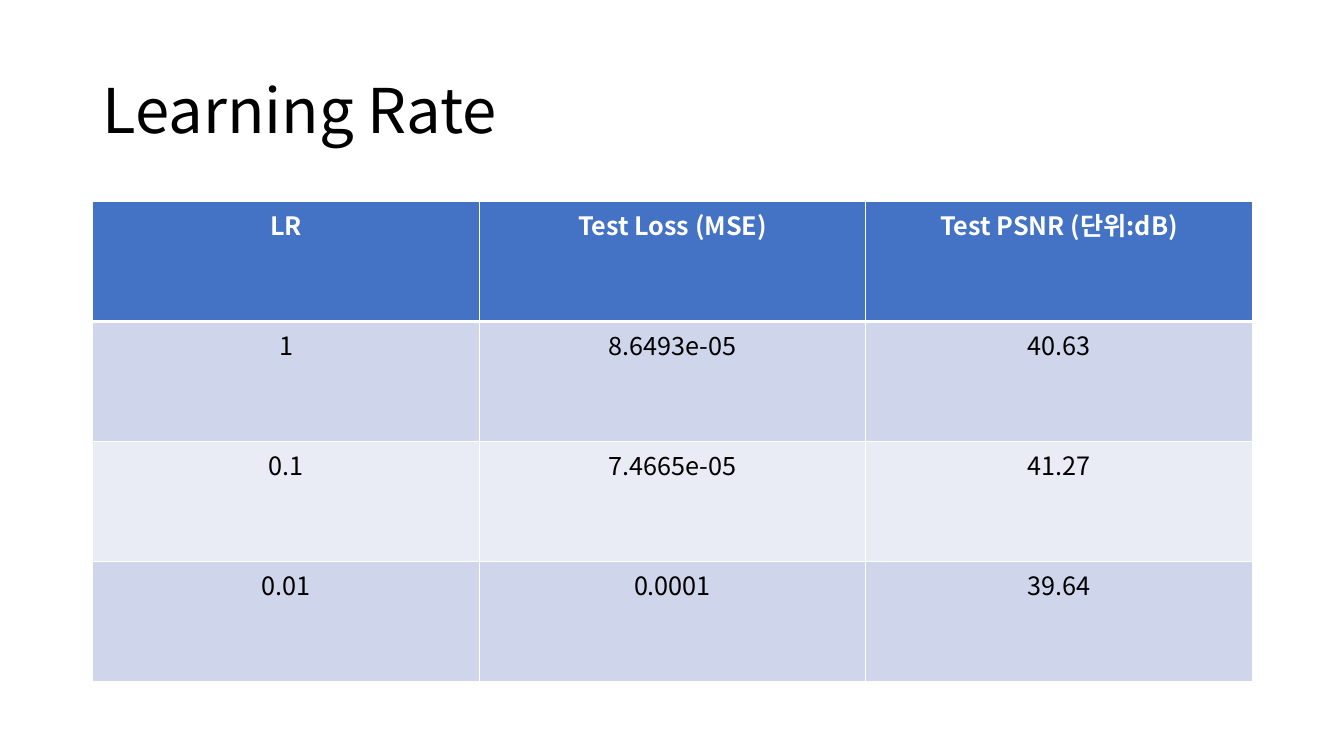
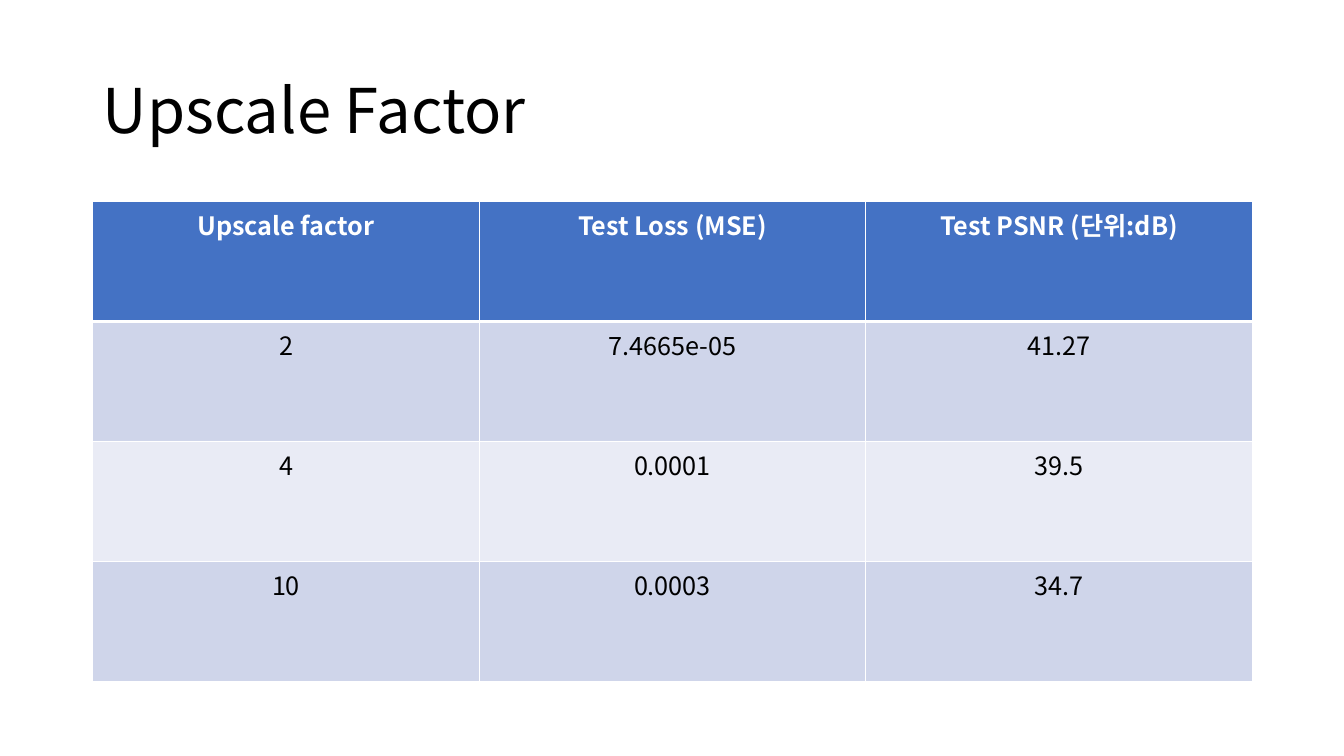
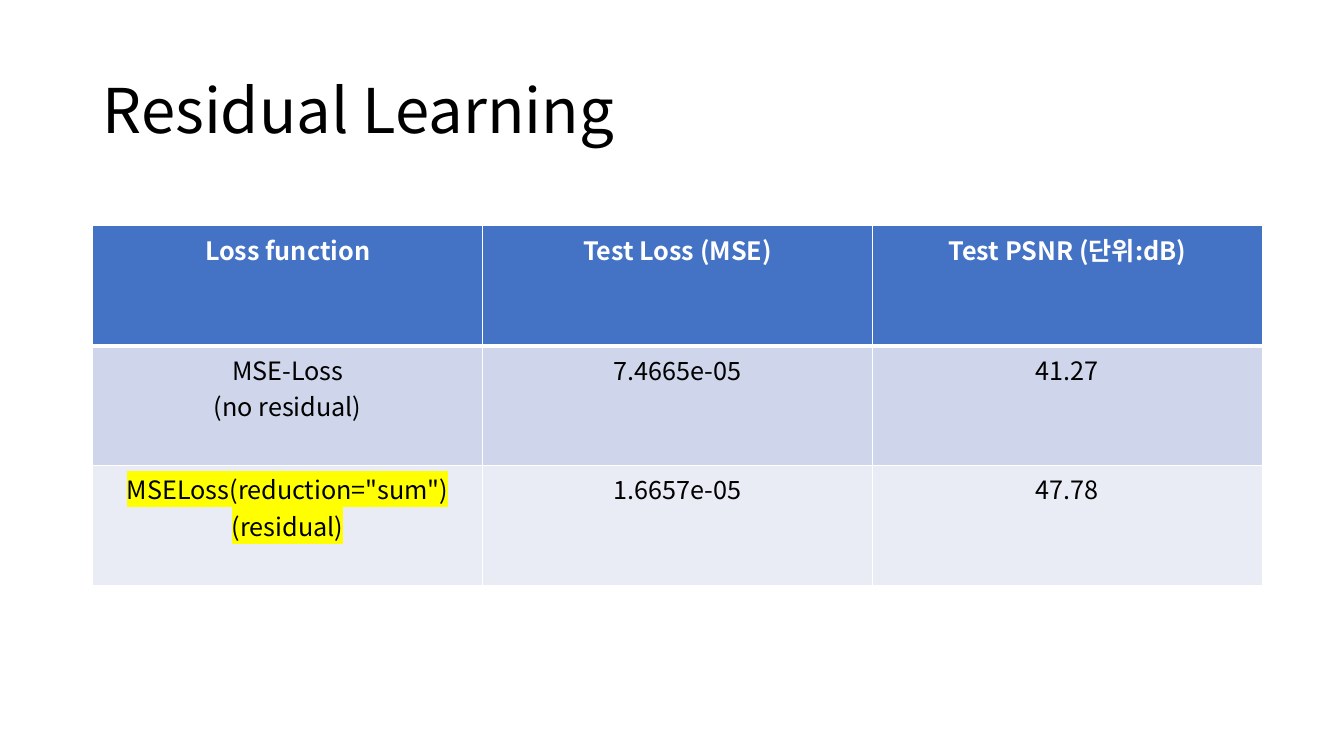
from lxml.etree import SubElement
from pptx import Presentation
from pptx.dml.color import RGBColor
from pptx.enum.text import MSO_ANCHOR, PP_ALIGN
from pptx.oxml.ns import qn
from pptx.util import Inches, Pt

FONT = "Noto Sans CJK KR"
COLORS = {
    "header": "4472C4",
    "odd_row": "CFD5EA",
    "even_row": "E9EBF5",
    "border": "FFFFFF",
    "header_text": "FFFFFF",
    "text": "000000",
    "highlight": "FFFF00",
}
METRICS = ["Test Loss (MSE)", "Test PSNR (단위:dB)"]

# Title, table top and width in inches, highlighted label, table rows
RESULTS = [
    ("Learning Rate", 2, 11.5, None, [
        ["LR", *METRICS],
        ["1", "8.6493e-05", "40.63"],
        ["0.1", "7.4665e-05", "41.27"],
        ["0.01", "0.0001", "39.64"],
    ]),
    ("Upscale Factor", 2, 11.5, None, [
        ["Upscale factor", *METRICS],
        ["2", "7.4665e-05", "41.27"],
        ["4", "0.0001", "39.5"],
        ["10", "0.0003", "34.7"],
    ]),
    ("Residual Learning", 2.24, 11.6, 'MSELoss(reduction="sum")\n(residual)', [
        ["Loss function", *METRICS],
        ["MSE-Loss\n(no residual)", "7.4665e-05", "41.27"],
        ['MSELoss(reduction="sum")\n(residual)', "1.6657e-05", "47.78"],
    ]),
]


def style_paragraph(paragraph, size, color, bold=False):
    font = paragraph.font
    font.name, font.size, font.bold = FONT, Pt(size), bold
    font.color.rgb = RGBColor.from_string(COLORS[color])
    SubElement(font._element, qn("a:ea"), typeface=FONT)


def add_color(parent, tag, color):
    element = SubElement(parent, qn(tag))
    SubElement(element, qn("a:srgbClr"), val=COLORS[color])


presentation = Presentation()
presentation.slide_width = Inches(13.33)
presentation.slide_height = Inches(7.5)
left = Inches(0.92)
row_height = Inches(1.19)

for title, top, width, highlighted, rows in RESULTS:
    slide = presentation.slides.add_slide(presentation.slide_layouts[6])

    # Title
    title_box = slide.shapes.add_textbox(left, Inches(0.4), Inches(11.5), Inches(1.45))
    frame = title_box.text_frame
    frame.word_wrap = True
    frame.vertical_anchor = MSO_ANCHOR.MIDDLE
    frame.text = title
    frame.paragraphs[0].line_spacing = 0.9
    style_paragraph(frame.paragraphs[0], 44, "text")

    # Results table with equal columns and rows
    table = slide.shapes.add_table(
        len(rows), len(rows[0]), left, Inches(top),
        Inches(width), row_height * len(rows)).table

    for row_index, row in enumerate(rows):
        is_header = row_index == 0
        fill = "header" if is_header else "odd_row" if row_index % 2 else "even_row"
        for column_index, text in enumerate(row):
            cell = table.cell(row_index, column_index)
            cell.text = text

            # Borders: the line under the header is thicker
            properties = cell._tc.get_or_add_tcPr()
            for side in "LRTB":
                under_header = (side == "B" and is_header) or (side == "T" and row_index == 1)
                line = SubElement(properties, qn(f"a:ln{side}"),
                                  w=str(Pt(3 if under_header else 1)))
                add_color(line, "a:solidFill", "border")
            cell.fill.solid()
            cell.fill.fore_color.rgb = RGBColor.from_string(COLORS[fill])

            # Cell text
            for paragraph in cell.text_frame.paragraphs:
                paragraph.alignment = PP_ALIGN.CENTER
                style_paragraph(paragraph, 18, "header_text" if is_header else "text", is_header)
                if text == highlighted:
                    for run in paragraph.runs:
                        add_color(run.font._element, "a:highlight", "highlight")

presentation.save("out.pptx")
